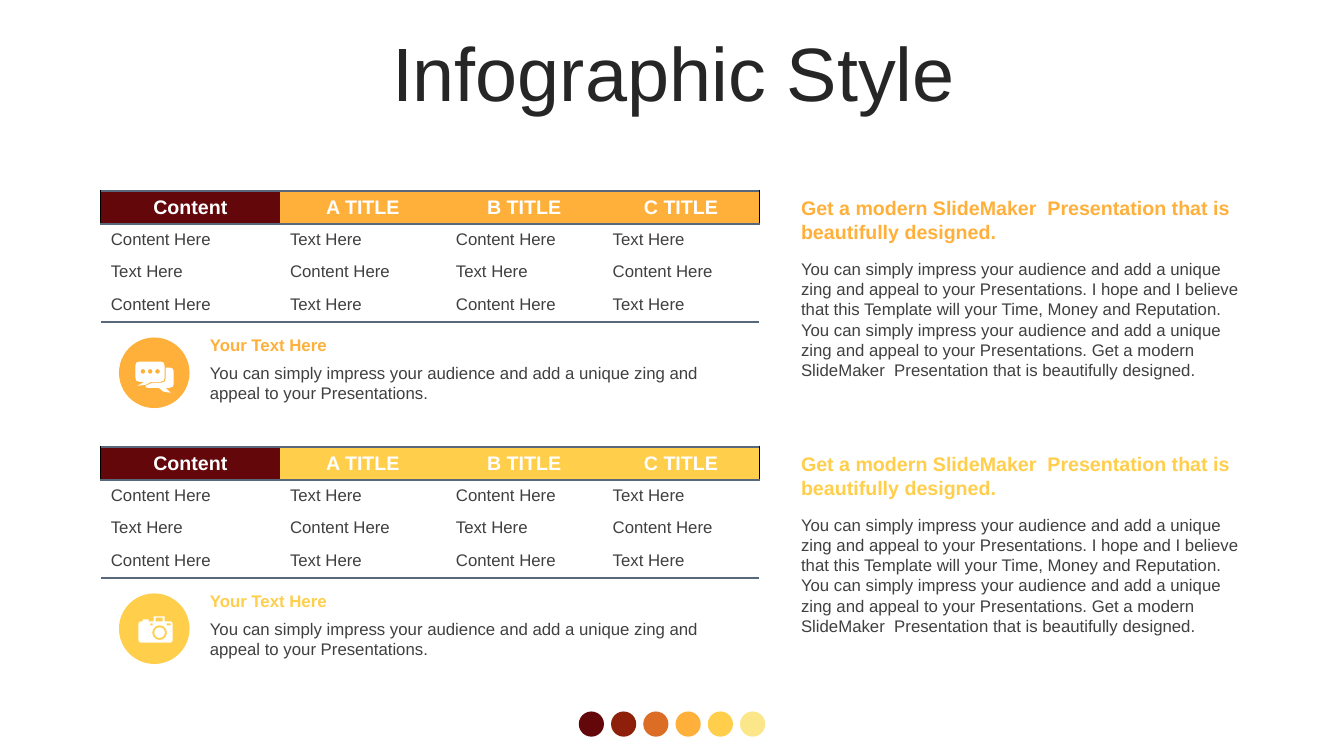
from collections import namedtuple
from dataclasses import dataclass
from math import cos, pi, sin

from lxml.etree import SubElement
from pptx import Presentation
from pptx.dml.color import RGBColor
from pptx.enum.shapes import MSO_SHAPE as Preset
from pptx.enum.text import MSO_ANCHOR as Anchor, PP_ALIGN as Align
from pptx.oxml.ns import qn
from pptx.util import Pt

Box = namedtuple("Box", "left top width height")
Topic = namedtuple("Topic", "accent icon icon_left icon_top")


@dataclass(frozen=True)
class Theme:
    """Colours, font and type sizes of the slide."""
    font: str = "Arial"
    maroon: str = "63070A"
    rust: str = "8E1F0B"
    copper: str = "DB6D25"
    orange: str = "FFB03B"
    yellow: str = "FFCE4B"
    cream: str = "FCE68A"
    white: str = "FFFFFF"
    black: str = "000000"
    title_ink: str = "262626"
    body_ink: str = "404040"
    rule: str = "57687C"
    title_size: float = 54
    heading_size: float = 14
    body_size: float = 12


THEME = Theme()
NO_GRID_STYLE = "{2D5ABB26-0587-4C30-8999-92F81FD0307C}"
HEADERS = ["Content", "A TITLE", "B TITLE", "C TITLE"]
ENTRIES = ["Content Here", "Text Here"]
COLUMN_WIDTHS = [128, 118.5, 112, 112]
ROW_HEIGHTS = [23.8, 21.6, 24, 24]
IMPRESS = "You can simply impress your audience and add a unique zing and appeal to your Presentations."
MODERN = "Get a modern SlideMaker  Presentation that is beautifully designed."
HOPE = "I hope and I believe that this Template will your Time, Money and Reputation."
STORY = f"{IMPRESS} {HOPE} {IMPRESS} {MODERN}"


def assign(target, values):
    """Set every attribute named in a dict of format values."""
    for name, value in values.items():
        setattr(target, name, value)


def write(frame, text, size, color, bold=False, **paragraph_format):
    """Put one formatted paragraph into a text frame."""
    paragraph = frame.paragraphs[0]
    assign(paragraph, paragraph_format)
    run = paragraph.add_run()
    run.text = text
    assign(run.font, {"name": THEME.font, "size": Pt(size), "bold": bold})
    run.font.color.rgb = RGBColor.from_string(color)


def add_text(slide, box, text, size, color, bold=False, anchor=Anchor.TOP, **paragraph_format):
    """Add a wrapping text box."""
    frame = slide.shapes.add_textbox(*map(Pt, box)).text_frame
    assign(frame, {"word_wrap": True, "vertical_anchor": anchor})
    write(frame, text, size, color, bold, **paragraph_format)


def paint(shape, color):
    """Give a shape a flat fill without line or shadow."""
    shape.shadow.inherit = False
    shape.fill.solid()
    shape.fill.fore_color.rgb = RGBColor.from_string(color)
    shape.line.fill.background()


def add_disc(slide, left, top, diameter, color):
    """Add a plain filled circle."""
    paint(slide.shapes.add_shape(Preset.OVAL, *map(Pt, (left, top, diameter, diameter))), color)


def ring(x, y, radius, steps=12):
    """Return the points of a circle."""
    angles = [2 * pi * step / steps for step in range(steps)]
    return [(x + radius * cos(angle), y + radius * sin(angle)) for angle in angles]


def rounded(*corners, steps=2):
    """Return an outline whose corners are (x, y) or (x, y, radius)."""
    points = []
    for index, (x, y, *radius) in enumerate(corners):
        if not radius:
            points.append((x, y))
            continue
        ends = []
        for near in (corners[index - 1], corners[(index + 1) % len(corners)]):
            dx, dy = near[0] - x, near[1] - y
            reach = radius[0] / (dx * dx + dy * dy) ** 0.5
            ends.append((x + dx * reach, y + dy * reach))
        (ax, ay), (bx, by) = ends
        for step in range(steps + 1):
            t = step / steps
            a, m, b = (1 - t) ** 2, 2 * t * (1 - t), t * t
            points.append((a * ax + m * x + b * bx, a * ay + m * y + b * by))
    return points


def block(left, top, right, bottom):
    """Return the corners of a rectangle."""
    return [(left, top), (right, top), (right, bottom), (left, bottom)]


CHAT = [
    rounded((21.6, 4.3), (27.4, 4.3, 2.9), (27.4, 18.7, 2.9), (21.6, 18.7),
            (25.2, 22.3), (20, 21.4), (16.6, 18.7), (7.2, 18.7, 1.5), (7.2, 17.3),
            (12.2, 15.1), (21.6, 15.1, 2.9)),
    rounded((0, 0, 2.9), (20.9, 0, 2.9), (20.9, 14.4, 2.9), (11.5, 14.4),
            (7.2, 16.6), (1.4, 17.3), (6.5, 14.4), (0, 14.4, 2.9)),
    *[ring(x, 7, 1.7, steps=8) for x in (5.4, 10.6, 15.8)],
]
CAMERA = [
    rounded((0, 3.6, 1.8), (2.9, 3.6), (2.9, 2.2), (7.2, 2.2), (7.2, 3.6), (10.8, 3.6),
            (10.8, 0), (18.7, 0), (18.7, 3.6), (24.4, 3.6, 1.8),
            (24.4, 18.7, 1.8), (0, 18.7, 1.8)),
    block(12.2, 0.9, 17.3, 3.6),
    block(8.6, 5, 10.1, 6.5),
    block(20.2, 5, 23, 6.5),
    ring(15.1, 11.6, 5.3),
    ring(15.1, 11.6, 3.8),
]


def add_icon(slide, left, top, outlines):
    """Draw a white icon from closed outlines."""
    paths = [[(Pt(x), Pt(y)) for x, y in outline] for outline in outlines]
    builder = slide.shapes.build_freeform(*paths[0][0])
    builder.add_line_segments(paths[0][1:], close=True)
    for start, *rest in paths[1:]:
        builder.move_to(*start)
        builder.add_line_segments(rest, close=True)
    paint(builder.convert_to_shape(Pt(left), Pt(top)), THEME.white)


def add_border(cell, side, color, width):
    """Draw one edge of a table cell."""
    edge = SubElement(cell._tc.get_or_add_tcPr(), qn(f"a:ln{side}"), w=str(Pt(width)))
    SubElement(SubElement(edge, qn("a:solidFill")), qn("a:srgbClr"), val=color)


def add_content_table(slide, box, accent):
    """Build the table with a coloured header row."""
    table = slide.shapes.add_table(len(ROW_HEIGHTS), len(HEADERS), *map(Pt, box)).table
    assign(table, {"first_row": False, "horz_banding": False})
    table._tbl.tblPr.find(qn("a:tableStyleId")).text = NO_GRID_STYLE
    for column, width in zip(table.columns, COLUMN_WIDTHS):
        column.width = Pt(width)
    for r, height in enumerate(ROW_HEIGHTS):
        table.rows[r].height = Pt(height)
        header, last = r == 0, r == len(ROW_HEIGHTS) - 1
        for c, title in enumerate(HEADERS):
            cell = table.cell(r, c)
            cell.vertical_anchor = Anchor.MIDDLE
            edges = [("L", header and c == 0, THEME.black, 1),
                     ("R", header and c == len(HEADERS) - 1, THEME.black, 1),
                     ("T", header, THEME.rule, 1.5),
                     ("B", header or last, THEME.rule, 1.5)]
            for side, shown, color, width in edges:
                if shown:
                    add_border(cell, side, color, width)
            cell.fill.solid()
            fill = (accent if c else THEME.maroon) if header else THEME.white
            cell.fill.fore_color.rgb = RGBColor.from_string(fill)
            if header:
                write(cell.text_frame, title, THEME.heading_size, THEME.white, True, alignment=Align.CENTER)
            else:
                write(cell.text_frame, ENTRIES[(r + c + 1) % 2], THEME.body_size, THEME.body_ink)


def add_note(slide, box, topic):
    """Place the icon disc with its short heading and text."""
    disc_left, disc_top = box.left + 13, box.top + 5.7
    add_disc(slide, disc_left, disc_top, 50.4, topic.accent)
    add_icon(slide, disc_left + topic.icon_left, disc_top + topic.icon_top, topic.icon)
    left, width = box.left + 70.8, box.width - 80.6
    add_text(slide, Box(left, box.top, width, 21.6), "Your Text Here", THEME.body_size, topic.accent, True)
    add_text(slide, Box(left, box.top + 20, width, 36), IMPRESS, THEME.body_size, THEME.body_ink)


def add_story(slide, box, accent):
    """Place the side heading above its paragraph."""
    add_text(slide, box._replace(height=41), MODERN, THEME.heading_size, accent, True)
    add_text(slide, Box(box.left, box.top + 44.8, box.width, 94.4), STORY, THEME.body_size, THEME.body_ink)


def add_topic(slide, box, topic):
    """Place a table, its note and its story."""
    table_width = sum(COLUMN_WIDTHS)
    add_content_table(slide, Box(box.left, box.top, table_width, sum(ROW_HEIGHTS)), topic.accent)
    add_note(slide, Box(box.left, box.top + 99.2, table_width, 56), topic)
    add_story(slide, Box(box.left + 493.1, box.top + 0.3, box.width - 493.1, 139), topic.accent)


def add_palette(slide, box):
    """Lay out the row of palette dots."""
    colors = [THEME.maroon, THEME.rust, THEME.copper, THEME.orange, THEME.yellow, THEME.cream]
    step = (box.width - box.height) / (len(colors) - 1)
    for index, color in enumerate(colors):
        add_disc(slide, box.left + index * step, box.top, box.height, color)


def main():
    """Build and save the slide."""
    deck = Presentation()
    assign(deck, {"slide_width": Pt(960), "slide_height": Pt(540)})
    slide = deck.slides.add_slide(deck.slide_layouts[6])
    add_palette(slide, Box(413.4, 508.2, 133.2, 18))
    add_text(slide, Box(25.4, 26.4, 911.5, 57), "Infographic Style", THEME.title_size, THEME.title_ink,
             anchor=Anchor.MIDDLE, alignment=Align.CENTER, line_spacing=0.9, space_before=Pt(10))
    topics = [Topic(THEME.orange, CHAT, 11.7, 17.2), Topic(THEME.yellow, CAMERA, 13.9, 16.4)]
    for index, topic in enumerate(topics):
        add_topic(slide, Box(72, 136.2 + index * 182.8, 821.5, 156), topic)
    deck.save("out.pptx")


if __name__ == "__main__":
    main()
